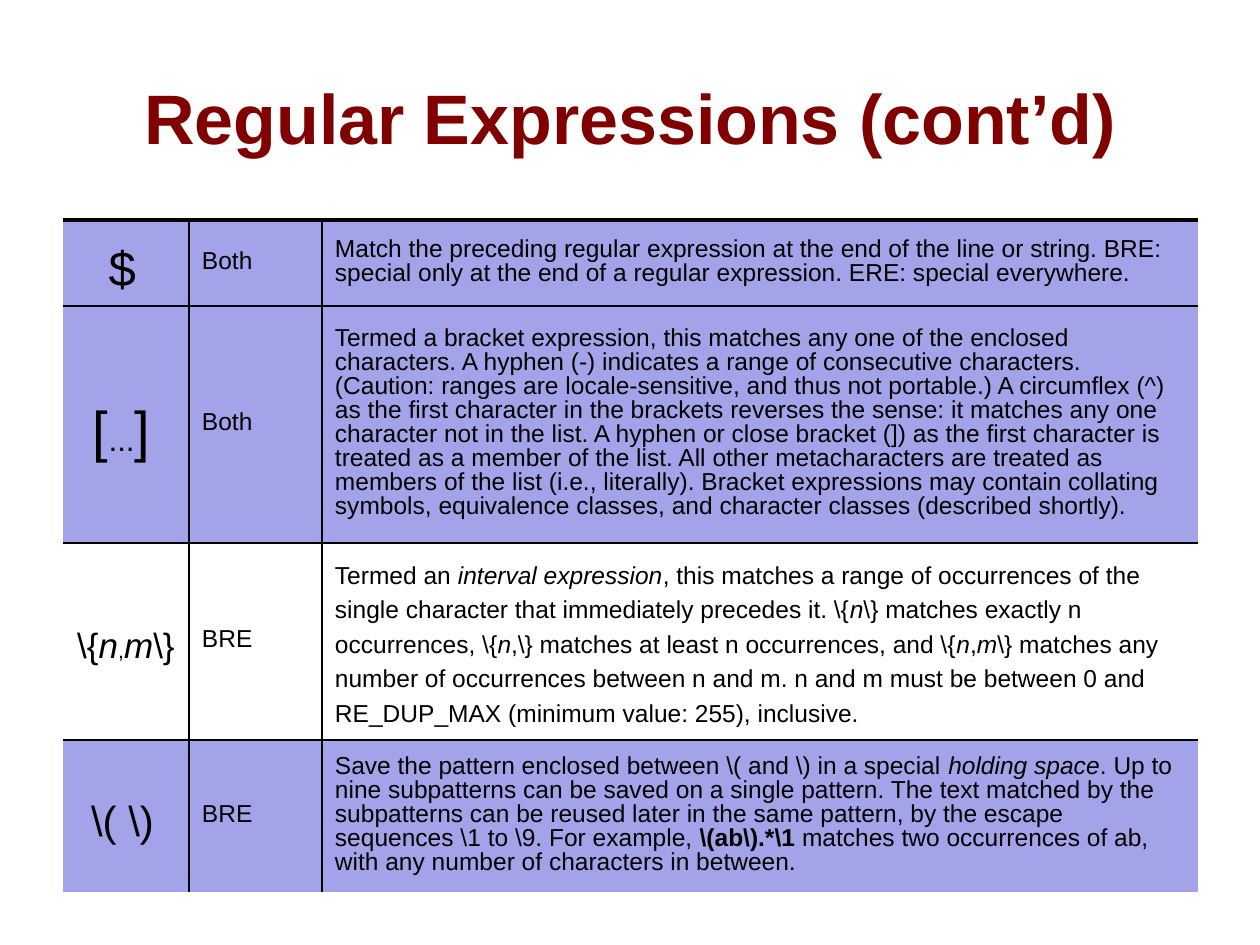
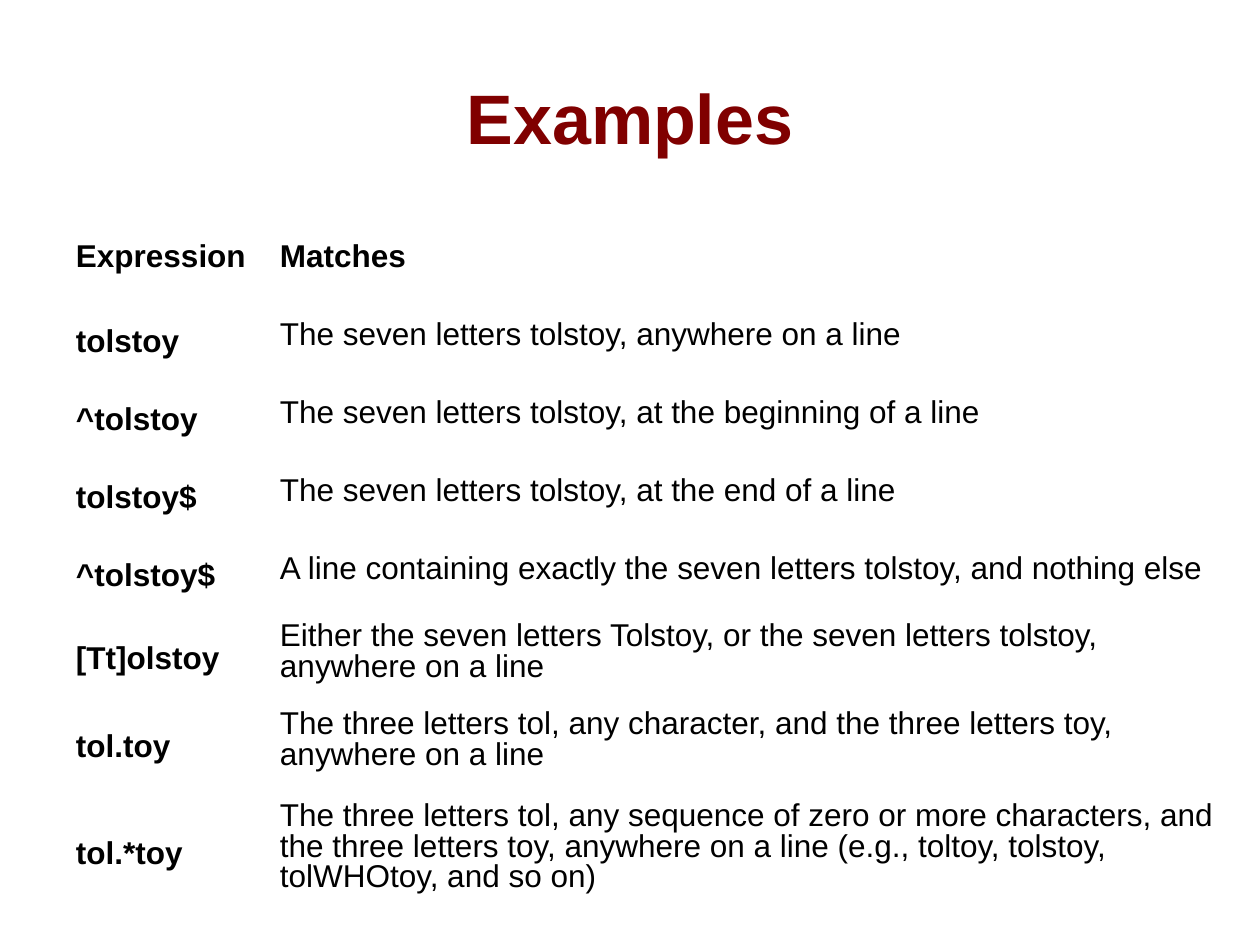
from lxml.etree import SubElement
from pptx import Presentation
from pptx.dml.color import RGBColor
from pptx.enum.text import MSO_ANCHOR as ANCHOR, PP_ALIGN as ALIGN
from pptx.oxml.ns import qn
from pptx.util import Emu, Pt

SCALE = 914400 / 126
FONT = "Arial"
BLACK, MAROON, LAVENDER = "000000", "800000", "A3A3E9"
NO_STYLE = "{2D5ABB26-0587-4C30-8999-92F81FD0307C}"
TITLE_BOX = (63, 38, 1134, 158)
TIGHT, LOOSE = 0.87, 1.25

SYNTAX_COLS = [126, 133, 876]
SYNTAX_ROWS = [
    (86, LAVENDER, TIGHT, [("$", {"size": 28}), (" ", {"size": 16, "bold": True})], "Both",
     "Match the preceding regular expression at the end of the line or string. "
     "BRE: special only at the end of a regular expression. ERE: special everywhere."),
    (237, LAVENDER, TIGHT,
     [("[", {"size": 32}), ("...", {"size": 18}), ("]", {"size": 32}), (" ", {"size": 18})], "Both",
     "Termed a bracket expression, this matches any one of the enclosed characters. "
     "A hyphen (-) indicates a range of consecutive characters. (Caution: ranges are "
     "locale-sensitive, and thus not portable.) A circumflex (^) as the first character "
     "in the brackets reverses the sense: it matches any one character not in the list. "
     "A hyphen or close bracket (]) as the first character is treated as a member of the "
     "list. All other metacharacters are treated as members of the list (i.e., literally). "
     "Bracket expressions may contain collating symbols, equivalence classes, and "
     "character classes (described shortly)."),
    (197, None, LOOSE,
     [(r"\{", {"size": 20}), ("n", {"size": 20, "italic": True}), (",", {"size": 12}),
      ("m", {"size": 20, "italic": True}), (r"\}", {"size": 20}), (" ", {"size": 12})], "BRE",
     ["Termed an ", ("interval expression", {"italic": True}),
      ", this matches a range of occurrences of the single character that immediately "
      r"precedes it. \{", ("n", {"italic": True}), r"\} matches exactly n occurrences, \{",
      ("n", {"italic": True}), r",\} matches at least n occurrences, and \{",
      ("n", {"italic": True}), ",", ("m", {"italic": True}),
      r"\} matches any number of occurrences between n and m. n and m must be between 0 "
      "and RE_DUP_MAX (minimum value: 255), inclusive."]),
    (152, LAVENDER, TIGHT, [(r"\( \)", {"size": 24}), " "], "BRE",
     [r"Save the pattern enclosed between \( and \) in a special ",
      ("holding space", {"italic": True}),
      ". Up to nine subpatterns can be saved on a single pattern. The text matched by the "
      "subpatterns can be reused later in the same pattern, by the escape sequences "
      r"\1 to \9. For example, ", (r"\(ab\).*\1", {"bold": True}),
      " matches two occurrences of ab, with any number of characters in between."]),
]

EXAMPLE_COLS = [204, 966]
EXAMPLE_ROWS = [
    (78, "Expression", "Matches"),
    (78, "tolstoy", "The seven letters tolstoy, anywhere on a line"),
    (78, "^tolstoy", "The seven letters tolstoy, at the beginning of a line"),
    (78, "tolstoy$", "The seven letters tolstoy, at the end of a line"),
    (78, "^tolstoy$", "A line containing exactly the seven letters tolstoy, and nothing else"),
    (88, "[Tt]olstoy",
     "Either the seven letters Tolstoy, or the seven letters tolstoy, anywhere on a line"),
    (88, "tol.toy",
     "The three letters tol, any character, and the three letters toy, anywhere on a line"),
    (126, "tol.*toy",
     "The three letters tol, any sequence of zero or more characters, and the three letters "
     "toy, anywhere on a line (e.g., toltoy, tolstoy, tolWHOtoy, and so on)"),
]


def px(n):
    return Emu(round(n * SCALE))


def rgb(color):
    return RGBColor.from_string(color)


def write(tf, runs, size=14, color=BLACK, bold=False, italic=False, align=ALIGN.LEFT, spacing=1.0):
    p = tf.paragraphs[0]
    p.alignment = align
    p.line_spacing = spacing
    for item in [runs] if isinstance(runs, str) else runs:
        text, own = (item, {}) if isinstance(item, str) else item
        r = p.add_run()
        r.text = text
        r.font.name = FONT
        r.font.size = Pt(own.get("size", size))
        r.font.bold = own.get("bold", bold)
        r.font.italic = own.get("italic", italic)
        r.font.color.rgb = rgb(color)


def set_margins(target, top):
    target.margin_left = target.margin_right = px(13)
    target.margin_top, target.margin_bottom = px(top), px(6)
    target.vertical_anchor = ANCHOR.MIDDLE


def add_title(s, text, box):
    tf = s.shapes.add_textbox(*map(px, box)).text_frame
    tf.word_wrap = True
    set_margins(tf, 6)
    write(tf, text, size=40, color=MAROON, bold=True, align=ALIGN.CENTER)


def add_grid(s, left, top, cols, heights):
    frame = s.shapes.add_table(len(heights), len(cols), px(left), px(top),
                               px(sum(cols)), px(sum(heights)))
    table = frame.table
    table.first_row = table.horz_banding = False
    table._tbl.tblPr.find(qn("a:tableStyleId")).text = NO_STYLE
    for col, width in zip(table.columns, cols):
        col.width = px(width)
    for row, height in zip(table.rows, heights):
        row.height = px(height)
    return table


def fill_cell(cell, runs, fill=None, spacing=TIGHT, **style):
    set_margins(cell, 4 if spacing == TIGHT else 6)
    write(cell.text_frame, runs, spacing=spacing, **style)
    if fill:
        cell.fill.solid()
        cell.fill.fore_color.rgb = rgb(fill)
    else:
        cell.fill.background()


def add_borders(cell, **widths):
    tc_pr = cell._tc.get_or_add_tcPr()
    for side in "LRTB":
        if side in widths:
            ln = SubElement(tc_pr, qn(f"a:ln{side}"), w=str(Pt(widths[side])))
            SubElement(SubElement(ln, qn("a:solidFill")), qn("a:srgbClr"), val=BLACK)


def add_syntax_table(s, left, top):
    table = add_grid(s, left, top, SYNTAX_COLS, [row[0] for row in SYNTAX_ROWS])
    last_row, last_col = len(SYNTAX_ROWS) - 1, len(SYNTAX_COLS) - 1
    for i, (_, fill, spacing, symbol, kind, meaning) in enumerate(SYNTAX_ROWS):
        for j in range(len(SYNTAX_COLS)):
            widths = {"T": 1 if i else 2.25}
            if i < last_row:
                widths["B"] = 1
            if j > 0:
                widths["L"] = 1
            if j < last_col:
                widths["R"] = 1
            add_borders(table.cell(i, j), **widths)
        fill_cell(table.cell(i, 0), symbol, fill, LOOSE, align=ALIGN.CENTER)
        fill_cell(table.cell(i, 1), kind, fill)
        fill_cell(table.cell(i, 2), meaning, fill, spacing)


def add_example_table(s, left, top):
    table = add_grid(s, left, top, EXAMPLE_COLS, [row[0] for row in EXAMPLE_ROWS])
    for i, (_, expression, matches) in enumerate(EXAMPLE_ROWS):
        fill_cell(table.cell(i, 0), expression, spacing=LOOSE if i else TIGHT, size=18, bold=True)
        fill_cell(table.cell(i, 1), matches, size=18, bold=i == 0)


def main():
    prs = Presentation()
    prs.slide_width, prs.slide_height = px(1260), px(945)
    for title, add_body in [("Regular Expressions (cont’d)", add_syntax_table),
                            ("Examples", add_example_table)]:
        s = prs.slides.add_slide(prs.slide_layouts[6])
        add_title(s, title, TITLE_BOX)
        add_body(s, 63, 220)
    prs.save("out.pptx")


if __name__ == "__main__":
    main()
